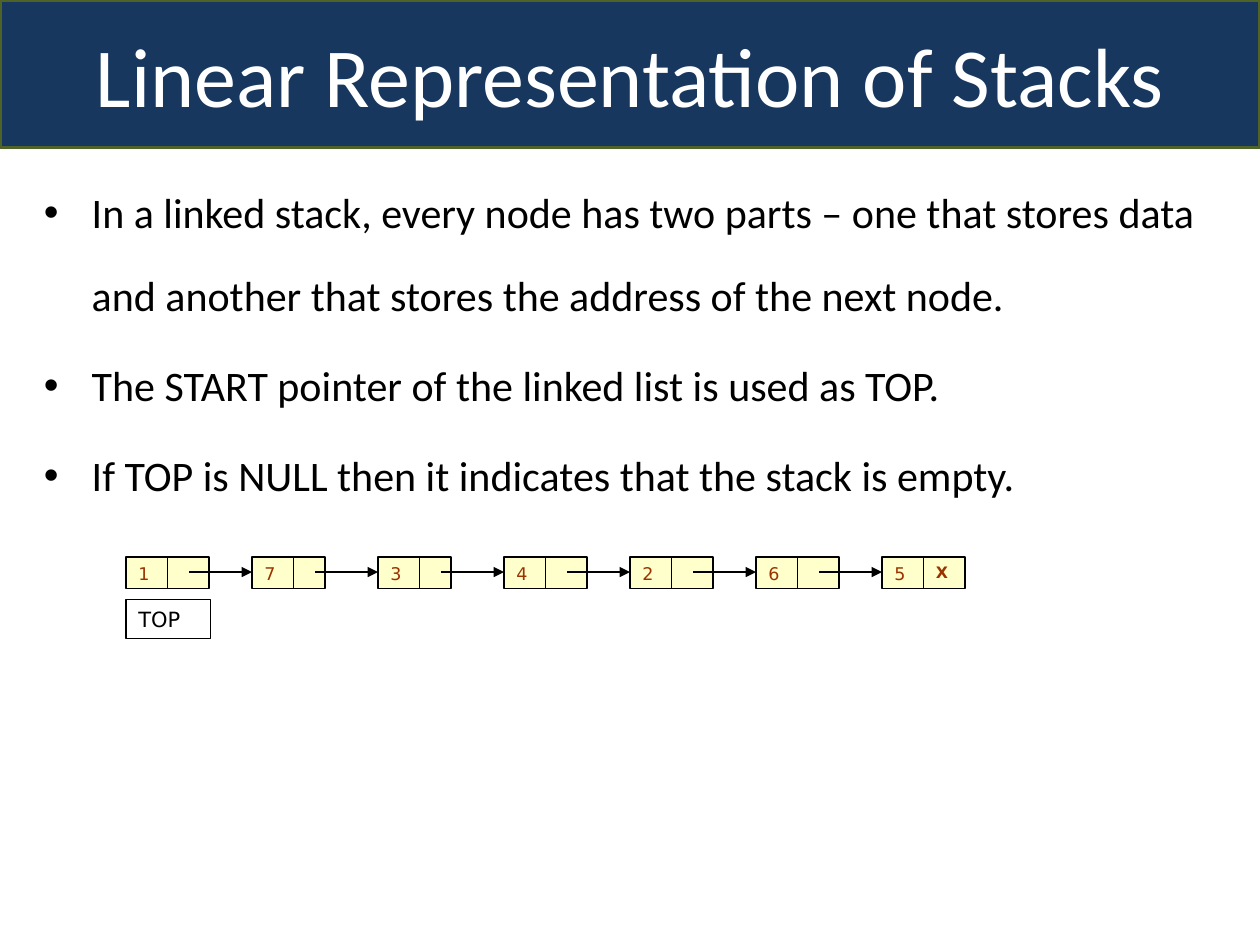
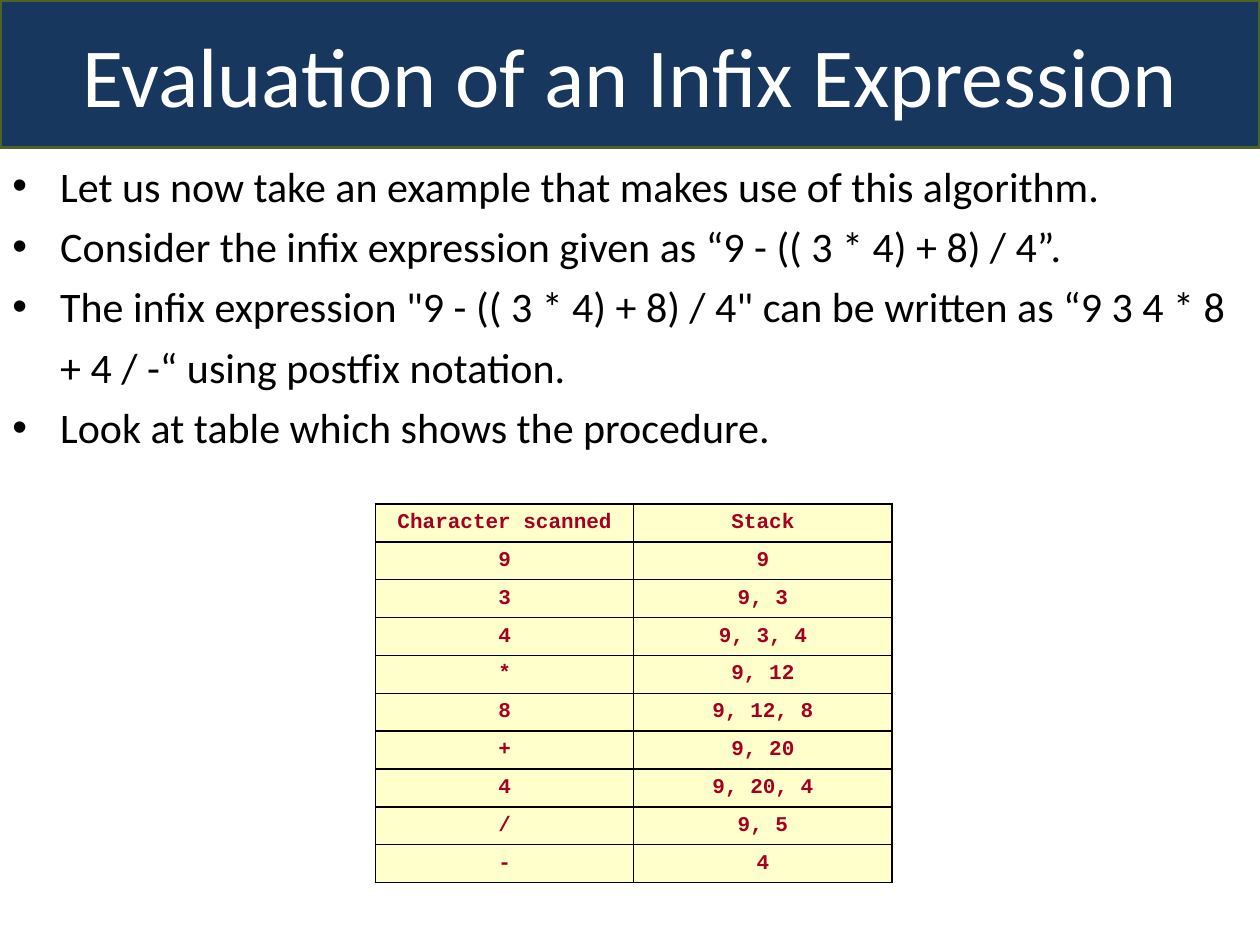
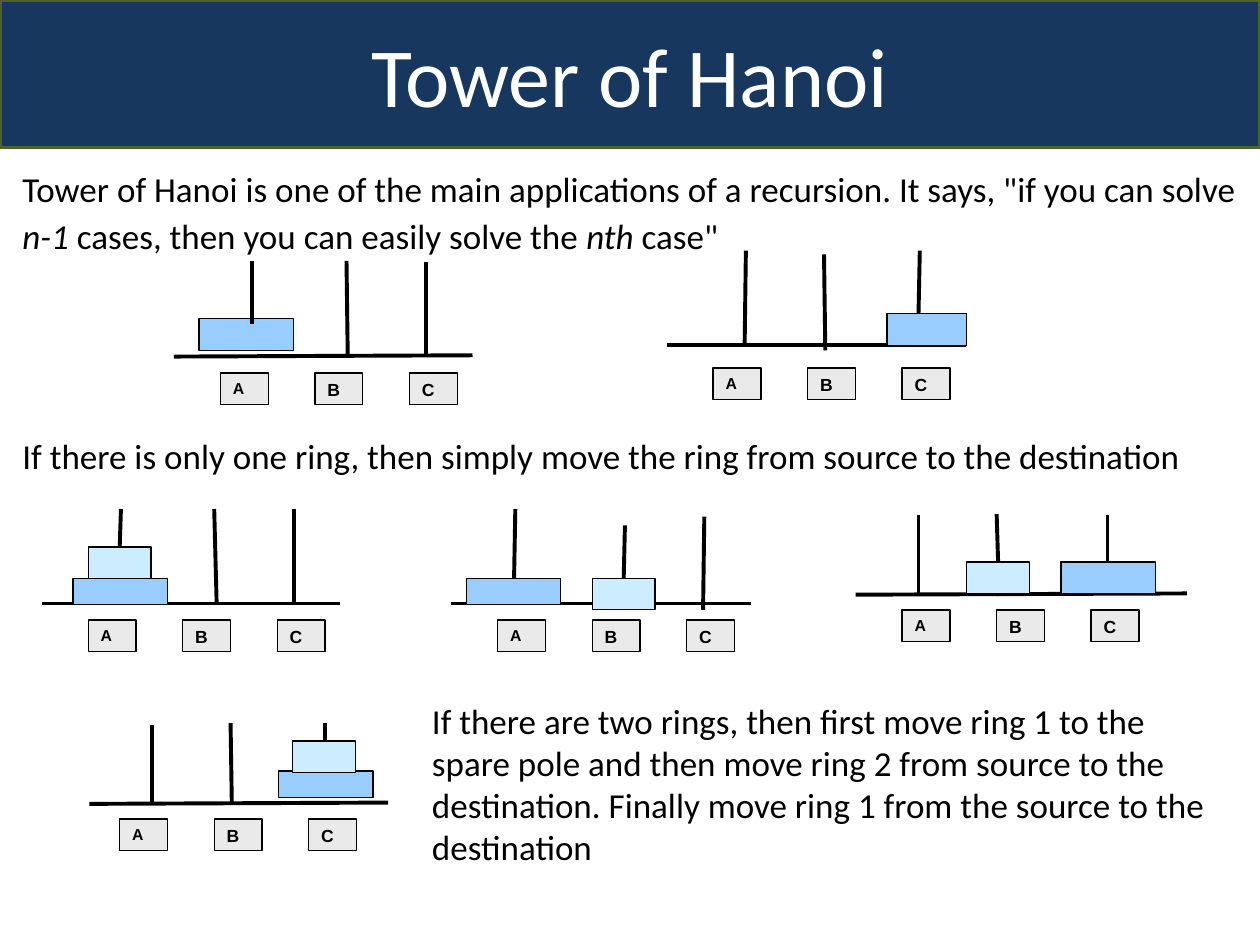
from lxml import etree
from pptx import Presentation
from pptx.dml.color import RGBColor
from pptx.enum.shapes import MSO_CONNECTOR, MSO_SHAPE
from pptx.enum.text import MSO_ANCHOR, MSO_AUTO_SIZE, PP_ALIGN
from pptx.oxml import parse_xml
from pptx.oxml.ns import nsdecls, qn
from pptx.util import Inches, Pt

RECTANGLE = MSO_SHAPE.RECTANGLE
STRAIGHT = MSO_CONNECTOR.STRAIGHT
TOP = MSO_ANCHOR.TOP
MIDDLE = MSO_ANCHOR.MIDDLE
CENTER = PP_ALIGN.CENTER
LEFT = PP_ALIGN.LEFT
NO_FIT = MSO_AUTO_SIZE.NONE

color = RGBColor.from_string
NAVY, OLIVE = "17375E", "4F6228"
BLACK, WHITE = "000000", "FFFFFF"
CREAM, BROWN, CRIMSON = "FFFFCC", "993300", "A50021"
BLUE, PALE_BLUE, GRAY = "99CCFF", "CCECFF", "EAEAEA"
BODY_FONT, NODE_FONT, LABEL_FONT, CODE_FONT = "Calibri", "DejaVu Sans", "Arial", "Courier New"


def add_box(page, left, top, width, height, fill, text="", font=NODE_FONT, size=10, ink=BLACK, bold=False):
    box = page.shapes.add_shape(RECTANGLE, Inches(left), Inches(top), Inches(width), Inches(height))
    box.shadow.inherit = False
    box.fill.solid()
    box.fill.fore_color.rgb = color(fill)
    box.line.color.rgb = color(BLACK)
    box.line.width = Pt(0.75)
    frame = box.text_frame
    frame.word_wrap = True
    frame.vertical_anchor = TOP
    frame.text = text
    frame.paragraphs[0].alignment = LEFT
    for span in frame.paragraphs[0].runs:
        span.font.name = font
        span.font.size = Pt(size)
        span.font.bold = bold
        span.font.color.rgb = color(ink)
    return box


def add_line(page, start_x, start_y, end_x, end_y, width, arrow=False):
    line = page.shapes.add_connector(STRAIGHT, Inches(start_x), Inches(start_y), Inches(end_x), Inches(end_y))
    line.line.color.rgb = color(BLACK)
    line.line.width = Pt(width)
    if arrow:
        etree.SubElement(line.line._get_or_add_ln(), qn("a:tailEnd"), type="triangle")
    etree.SubElement(line._element.spPr, qn("a:effectLst"))


deck = Presentation()
deck.slide_width = Inches(10)
deck.slide_height = Inches(7.5)

pages = []
for heading in ("Linear Representation of Stacks", "Evaluation of an Infix Expression", "Tower of Hanoi"):
    page = deck.slides.add_slide(deck.slide_layouts[5])
    title = page.shapes.title
    title.left, title.top, title.width, title.height = 0, 0, Inches(10), Inches(1.17)
    title.fill.solid()
    title.fill.fore_color.rgb = color(NAVY)
    title.line.color.rgb = color(OLIVE)
    title.line.width = Pt(2)
    frame = title.text_frame
    frame.text = heading
    frame.auto_size = NO_FIT
    frame.vertical_anchor = MIDDLE
    frame.paragraphs[0].alignment = CENTER
    span = frame.paragraphs[0].runs[0]
    span.font.name = BODY_FONT
    span.font.size = Pt(48)
    span.font.color.rgb = color(WHITE)
    pages.append(page)
stack_page, infix_page, hanoi_page = pages

# Underscores enclose italic words.
texts = [
    (stack_page, (0.25, 1.17, 9.5, 3.33), TOP, 24, 1.65, 4, True, [
        "In a linked stack, every node has two parts – one that stores data and another that stores "
        "the address of the next node.",
        "The START pointer of the linked list is used as TOP.",
        "If TOP is NULL then it indicates that the stack is empty.",
    ]),
    (infix_page, (0, 1.14, 9.83, 2.5), MIDDLE, 24, 1.2, 0, True, [
        "Let us now take an example that makes use of this algorithm.",
        "Consider the infix expression given as “9 - (( 3 * 4) + 8) / 4”.",
        "The infix expression \"9 - (( 3 * 4) + 8) / 4\" can be written as “9 3 4 * 8 + 4 / -“ "
        "using postfix notation.",
        "Look at table which shows the procedure.",
    ]),
    (hanoi_page, (0.08, 1.25, 10, 0.92), TOP, 20, 1.1, 0, False, [
        "Tower of Hanoi is one of the main applications of a recursion. It says, \"if you can solve "
        "_n-1_ cases, then you can easily solve the _nth_ case\"",
    ]),
    (hanoi_page, (0.08, 3.4, 9.67, 0.43), TOP, 20, 1, 0, False, [
        "If there is only one ring, then simply move the ring from source to the destination",
    ]),
    (hanoi_page, (3.33, 5.5, 6.42, 1.45), TOP, 20, 1, 0, False, [
        "If there are two rings, then first move ring 1 to the spare pole and then move ring 2 from "
        "source to the destination. Finally move ring 1 from the source to the destination",
    ]),
]
for page, place, anchor, size, spacing, gap, bulleted, lines in texts:
    frame = page.shapes.add_textbox(*map(Inches, place)).text_frame
    frame.word_wrap = True
    frame.vertical_anchor = anchor
    for number, line in enumerate(lines):
        para = frame.add_paragraph() if number else frame.paragraphs[0]
        if bulleted:
            settings = para._p.get_or_add_pPr()
            settings.set("marL", str(Inches(0.38)))
            settings.set("indent", str(Inches(-0.38)))
            etree.SubElement(settings, qn("a:buFont"), typeface="Arial")
            etree.SubElement(settings, qn("a:buChar"), char="•")
        para.line_spacing = spacing
        if number:
            para.space_before = Pt(gap)
        for part, words in enumerate(line.split("_")):
            span = para.add_run()
            span.text = words
            span.font.name = BODY_FONT
            span.font.size = Pt(size)
            span.font.italic = part % 2 == 1
            span.font.color.rgb = color(BLACK)

node_values = "1734265"
last_node = len(node_values) - 1
for index, value in enumerate(node_values):
    left = 1 + index
    link_width = 0.25 if index in (1, 2) else 0.33
    add_box(stack_page, left, 4.42, 0.33, 0.25, CREAM, value, ink=BROWN)
    if index < last_node:
        add_box(stack_page, left + 0.33, 4.42, link_width, 0.25, CREAM)
        add_line(stack_page, left + 0.5, 4.54, left + 1, 4.54, 0.75, arrow=True)
    else:
        add_box(stack_page, left + 0.33, 4.42, link_width, 0.25, CREAM, "X", size=9, ink=BROWN, bold=True)
top_box = add_box(stack_page, 1, 4.76, 0.67, 0.31, WHITE, "TOP", size=12)
top_box.text_frame.vertical_anchor = MIDDLE

steps = [
    ("Character scanned", "Stack"),
    ("9", "9"),
    ("3", "9, 3"),
    ("4", "9, 3, 4"),
    ("*", "9, 12"),
    ("8", "9, 12, 8"),
    ("+", "9, 20"),
    ("4", "9, 20, 4"),
    ("/", "9, 5"),
    ("-", "4"),
]
table = infix_page.shapes.add_table(len(steps), 2, Inches(2.98), Inches(4), Inches(4.1), Inches(3)).table
for row, step in enumerate(steps):
    for column, entry in enumerate(step):
        cell = table.cell(row, column)
        for edge in ("lnL", "lnR", "lnT", "lnB"):
            cell._tc.get_or_add_tcPr().append(parse_xml(
                f'<a:{edge} {nsdecls("a")} w="{Pt(1)}"><a:solidFill><a:srgbClr val="{BLACK}"/>'
                f'</a:solidFill></a:{edge}>'))
        cell.fill.solid()
        cell.fill.fore_color.rgb = color(CREAM)
        cell.vertical_anchor = MIDDLE
        cell.text = entry
        para = cell.text_frame.paragraphs[0]
        para.alignment = CENTER
        span = para.runs[0]
        span.font.name = CODE_FONT
        span.font.size = Pt(12)
        span.font.bold = True
        span.font.color.rgb = color(CRIMSON)

scenes = [
    {"base": (1.38, 2.83, 3.75, 2.82), "labels": (1.75, 2.96), "large": (1.58, 2.53, 0.75, 0.25),
     "poles": [(2, 2.57, 2, 2.07), (2.76, 2.83, 2.75, 2.07), (3.38, 2.82, 3.38, 2.08)]},
    {"base": (5.29, 2.74, 7.67, 2.74), "labels": (5.66, 2.92), "large": (7.04, 2.49, 0.63, 0.25),
     "poles": [(5.91, 2.74, 5.92, 1.99), (6.55, 2.78, 6.54, 2.02), (7.29, 2.49, 7.3, 1.99)]},
    {"base": (0.33, 4.79, 2.7, 4.79), "labels": (0.7, 4.92), "large": (0.58, 4.59, 0.75, 0.21),
     "small": (0.7, 4.34),
     "poles": [(0.95, 4.34, 0.96, 4.04), (1.72, 4.8, 1.7, 4.04), (2.33, 4.79, 2.33, 4.04)]},
    {"base": (3.58, 4.79, 5.96, 4.79), "labels": (3.95, 4.92), "large": (3.7, 4.59, 0.75, 0.21),
     "small": (4.7, 4.59),
     "poles": [(4.08, 4.59, 4.09, 4.04), (4.95, 4.59, 4.96, 4.17), (5.58, 4.84, 5.59, 4.1)]},
    {"base": (6.79, 4.72, 9.42, 4.71), "labels": (7.16, 4.84), "large": (8.42, 4.46, 0.75, 0.25),
     "small": (7.67, 4.46),
     "poles": [(7.29, 4.72, 7.29, 4.09), (7.93, 4.73, 7.91, 4.08), (8.79, 4.47, 8.79, 4.09)]},
    {"base": (0.71, 6.38, 3.08, 6.37), "labels": (0.95, 6.5), "large": (2.21, 6.12, 0.75, 0.21),
     "small": (2.32, 5.88),
     "poles": [(1.21, 6.37, 1.21, 5.75), (1.84, 6.38, 1.83, 5.74), (2.58, 5.88, 2.58, 5.74)]},
]
for scene in scenes:
    add_line(hanoi_page, *scene["base"], 2.25)
    add_box(hanoi_page, *scene["large"], BLUE)
    for pole in scene["poles"]:
        add_line(hanoi_page, *pole, 2.25)
    if "small" in scene:
        add_box(hanoi_page, *scene["small"], 0.5, 0.25, PALE_BLUE)
    label_left, label_top = scene["labels"]
    for index, letter in enumerate("ABC"):
        add_box(hanoi_page, label_left + 0.75 * index, label_top, 0.38, 0.25, GRAY, letter,
                LABEL_FONT, 9 if letter == "A" else 10, bold=True)

deck.save("out.pptx")
